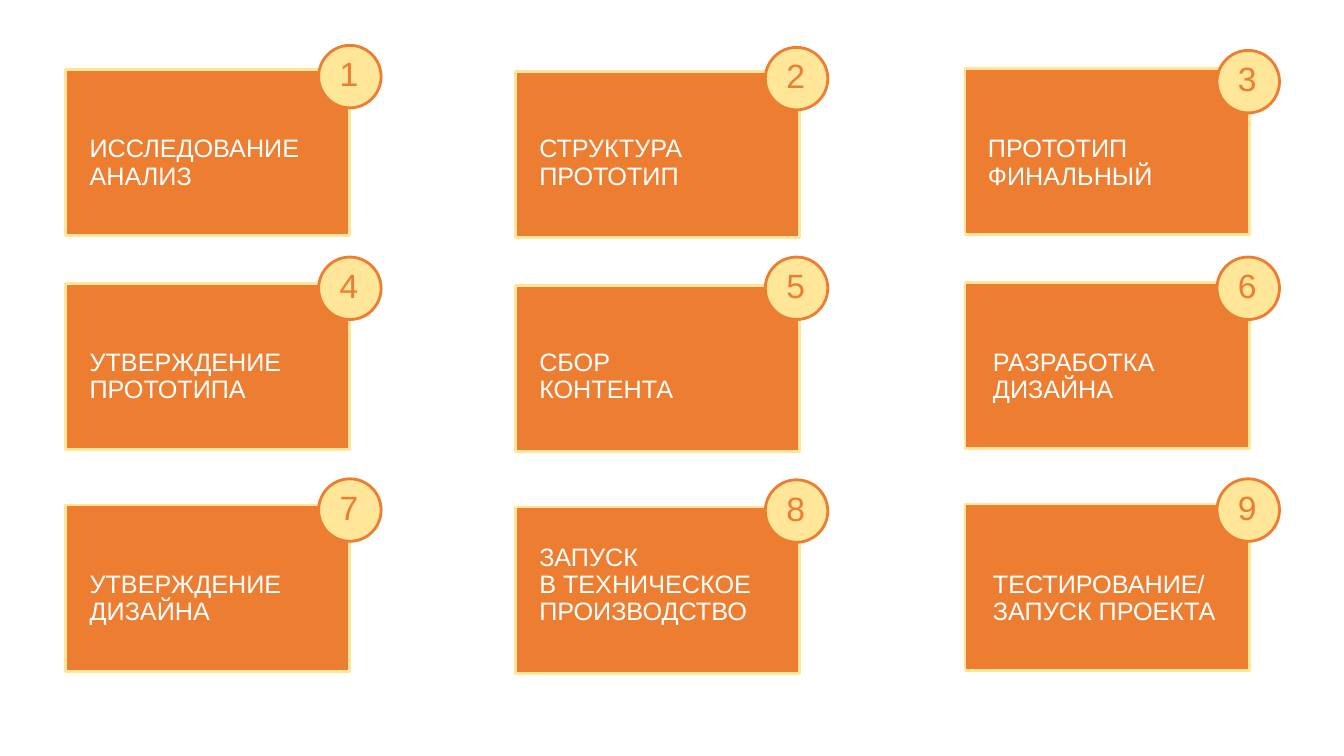
from dataclasses import dataclass

from pptx import Presentation
from pptx.dml.color import RGBColor
from pptx.enum.shapes import MSO_SHAPE
from pptx.enum.text import MSO_ANCHOR
from pptx.util import Inches, Pt

RECT = MSO_SHAPE.RECTANGLE
OVAL = MSO_SHAPE.OVAL
BOTTOM = MSO_ANCHOR.BOTTOM


@dataclass(frozen=True)
class Theme:
    orange: RGBColor = RGBColor(0xED, 0x7D, 0x31)
    cream: RGBColor = RGBColor(0xFF, 0xE6, 0x99)
    white: RGBColor = RGBColor(0xFF, 0xFF, 0xFF)
    font: str = "Arial"
    title_size: int = 18
    number_size: int = 24
    outline: int = 2
    line_spacing: float = 0.9


THEME = Theme()

CARD_W, CARD_H = 2.82, 1.65
CARD_LEFT, CARD_STEP = 0.65, 4.46
CARD_TOPS = (0.69, 2.81, 5.01)
CARD_SHIFTS = (0, 0.02, -0.01)
TITLE_W, TITLE_H = 3.18, 1.05
TITLE_DROP = 0.2
BADGE_SIZE = 0.62
BADGE_LEFTS = (3.16, 7.59, 12.07)
NUMBER_INSET = 0.11
NUMBER_W, NUMBER_H = 0.71, 0.42

# Each step: title paragraphs, title left, badge top
STEPS = (
    (("ИССЛЕДОВАНИЕ\nАНАЛИЗ",), 0.79, 0.45),
    (("СТРУКТУРА\nПРОТОТИП",), 5.25, 0.47),
    (("ПРОТОТИП\nФИНАЛЬНЫЙ",), 9.7, 0.5),
    (("УТВЕРЖДЕНИЕ\nПРОТОТИПА",), 0.79, 2.55),
    (("СБОР", "КОНТЕНТА"), 5.25, 2.55),
    (("РАЗРАБОТКА\nДИЗАЙНА",), 9.75, 2.55),
    (("УТВЕРЖДЕНИЕ\nДИЗАЙНА",), 0.79, 4.75),
    (("ЗАПУСК", "В ТЕХНИЧЕСКОЕ", "ПРОИЗВОДСТВО"), 5.25, 4.76),
    (("ТЕСТИРОВАНИЕ/\nЗАПУСК ПРОЕКТА",), 9.75, 4.75),
)


def add_box(s, kind, left, top, width, height, fill, line):
    sp = s.shapes.add_shape(
        kind, Inches(left), Inches(top), Inches(width), Inches(height))
    sp.shadow.inherit = False
    sp.fill.solid()
    sp.fill.fore_color.rgb = fill
    sp.line.color.rgb = line
    sp.line.width = Pt(THEME.outline)


def add_text(s, left, top, width, height, paragraphs, size, color):
    sp = s.shapes.add_textbox(
        Inches(left), Inches(top), Inches(width), Inches(height))
    tf = sp.text_frame
    tf.word_wrap = True
    tf.vertical_anchor = BOTTOM
    tf.margin_top = 0
    for i, text in enumerate(paragraphs):
        p = tf.add_paragraph() if i else tf.paragraphs[0]
        p.line_spacing = THEME.line_spacing
        for j, line in enumerate(text.split("\n")):
            if j:
                p.add_line_break()
            r = p.add_run()
            r.text = line
            r.font.name = THEME.font
            r.font.size = Pt(size)
            r.font.color.rgb = color


def add_card(s, row, col, title, title_left):
    top = CARD_TOPS[row] + CARD_SHIFTS[col]
    add_box(s, RECT, CARD_LEFT + col * CARD_STEP, top, CARD_W, CARD_H,
            THEME.orange, THEME.cream)
    add_text(s, title_left, CARD_TOPS[row] + TITLE_DROP, TITLE_W, TITLE_H,
             title, THEME.title_size, THEME.white)


def add_badge(s, col, top, number):
    left = BADGE_LEFTS[col]
    add_box(s, OVAL, left, top, BADGE_SIZE, BADGE_SIZE,
            THEME.cream, THEME.orange)
    add_text(s, left + NUMBER_INSET, top + NUMBER_INSET, NUMBER_W, NUMBER_H,
             (str(number),), THEME.number_size, THEME.orange)


def main():
    prs = Presentation()
    prs.slide_width = Inches(13.33)
    prs.slide_height = Inches(7.5)
    s = prs.slides.add_slide(prs.slide_layouts[6])
    for i, (title, title_left, _) in enumerate(STEPS):
        row, col = divmod(i, 3)
        add_card(s, row, col, title, title_left)
    for i, (_, _, badge_top) in enumerate(STEPS):
        add_badge(s, i % 3, badge_top, i + 1)
    prs.save("out.pptx")


if __name__ == "__main__":
    main()
